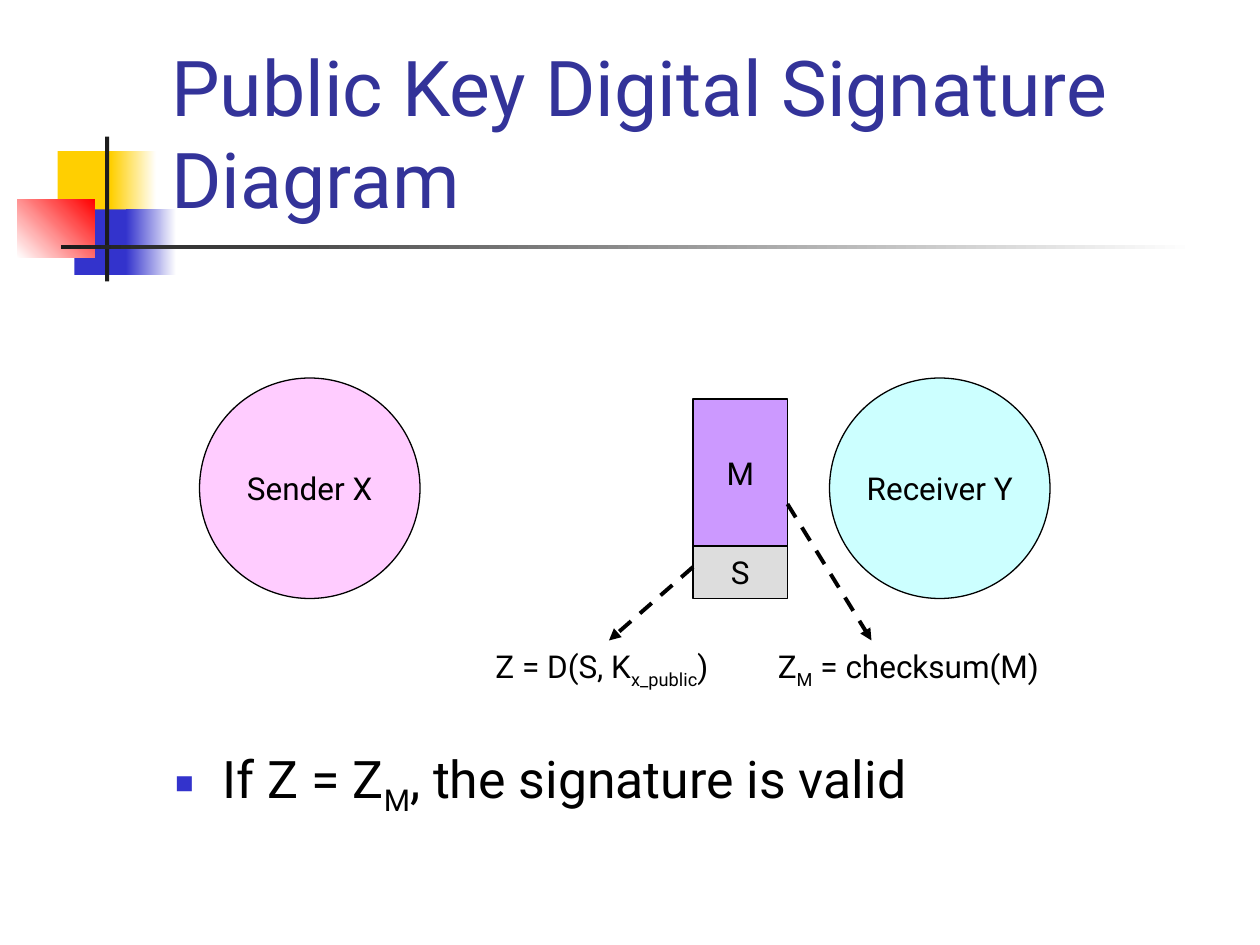
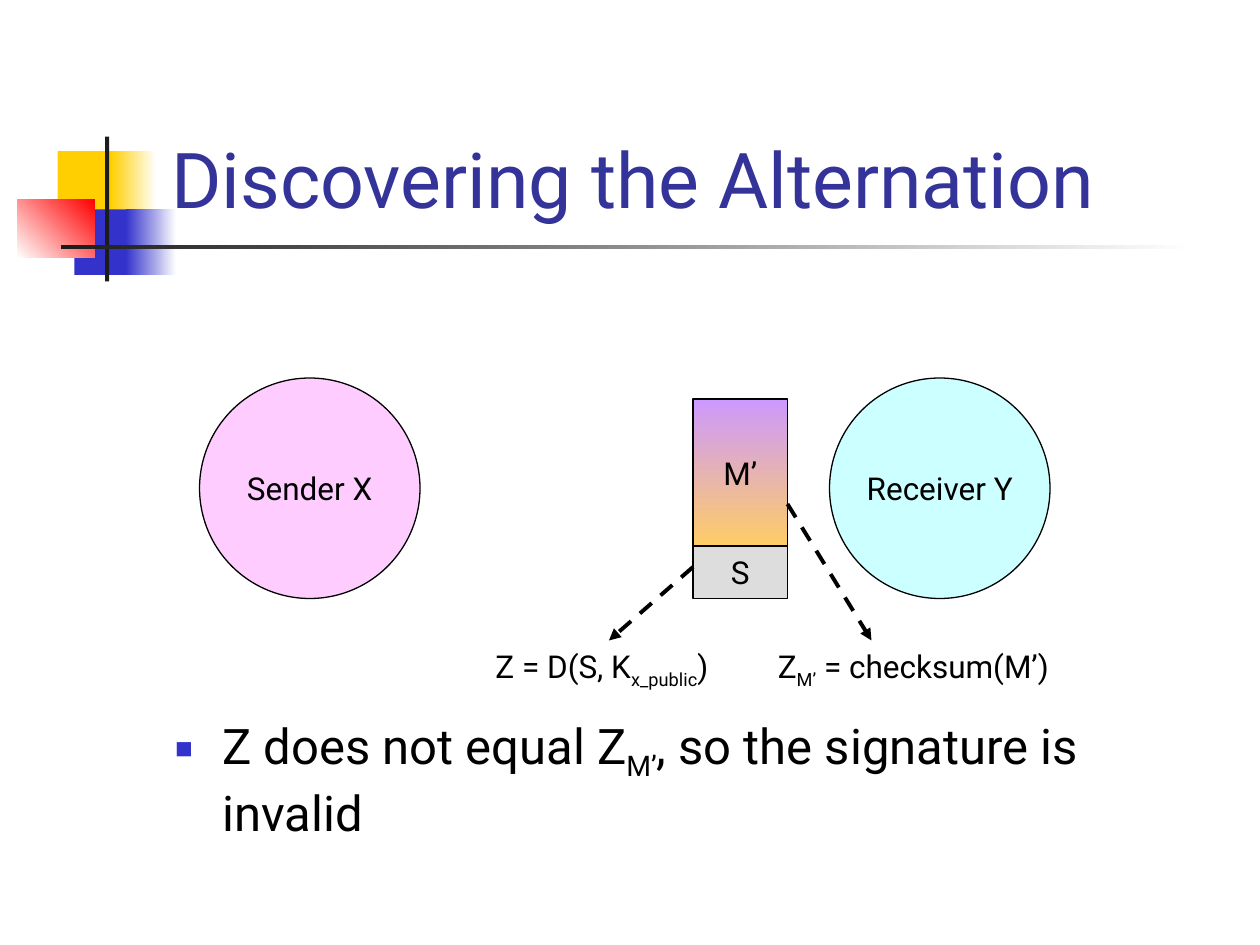
from lxml import etree
from pptx import Presentation
from pptx.dml.color import RGBColor
from pptx.enum.dml import MSO_LINE
from pptx.enum.shapes import MSO_CONNECTOR, MSO_SHAPE
from pptx.enum.text import MSO_ANCHOR, MSO_AUTO_SIZE, PP_ALIGN
from pptx.oxml.ns import qn
from pptx.util import Pt

RECT, OVAL = MSO_SHAPE.RECTANGLE, MSO_SHAPE.OVAL
STRAIGHT, DASH = MSO_CONNECTOR.STRAIGHT, MSO_LINE.DASH
TOP, MIDDLE, BOTTOM = MSO_ANCHOR.TOP, MSO_ANCHOR.MIDDLE, MSO_ANCHOR.BOTTOM
LEFT, CENTER = PP_ALIGN.LEFT, PP_ALIGN.CENTER
NO_AUTOFIT = MSO_AUTO_SIZE.NONE

FONT = "Roboto"
BLACK, WHITE, CHARCOAL = "000000", "FFFFFF", "1C1C1C"
YELLOW, BLUE, RED, NAVY = "FFCF01", "3333CC", "FF0000", "333399"
PINK, AQUA, VIOLET, ORANGE, GREY = "FFCCFF", "CCFFFF", "CC99FF", "FFCC66", "DDDDDD"

# Text between a pair of bars is subscript.
# A fill is one colour, or (start, end, counterclockwise angle).
SLIDES = [
    {
        "title": "Public Key Digital Signature Diagram",
        "message": "M",
        "message_fill": VIOLET,
        "checksum": "Z|M| = checksum(M)",
        "checksum_width": 165.6,
        "verdict": "If Z = Z|M|, the signature is valid",
        "verdict_size": 29.6,
        "verdict_top": 423.3,
    },
    {
        "title": "Discovering the Alternation",
        "message": "M’",
        "message_fill": (VIOLET, ORANGE, 270),
        "checksum": "Z|M’| = checksum(M’)",
        "checksum_width": 170.6,
        "verdict": "Z does not equal Z|M’|, so the signature is invalid",
        "verdict_size": 28,
        "verdict_top": 405,
    },
]
DECRYPTION = "Z = D(S, K|x_public|)"

# left, top, width, height
EMBLEM = [
    ((33, 86.4, 34.6, 37.5), YELLOW),
    ((63.4, 86.4, 25.9, 37.5), (YELLOW, WHITE, 0)),
    ((42.5, 119.6, 33.1, 37.5), BLUE),
    ((72, 119.6, 28.8, 37.5), (BLUE, WHITE, 0)),
    ((9.8, 113.8, 44.3, 33.4), (WHITE, RED, 45)),
    ((60, 78, 2.4, 82.8), CHARCOAL),
    ((34.8, 140, 648, 2.5), (CHARCOAL, WHITE, 0)),
]
TITLE_BOX = (90.7, 16.6, 613.5, 115.2)
BODY_LEFT, BODY_WIDTH, BODY_BOTTOM = 92.9, 612, 483.1
BULLET_INDENT = 27

CIRCLE = 126
CIRCLE_TOP = 216
SENDER_LEFT, RECEIVER_LEFT = 114, 474
PACKET_LEFT, PACKET_WIDTH = 396, 54
MESSAGE_TOP, MESSAGE_HEIGHT, SIGNATURE_HEIGHT = 228, 84, 30
SIGNATURE_TOP = MESSAGE_TOP + MESSAGE_HEIGHT
FORMULA_TOP, FORMULA_HEIGHT = 366, 31.7
ARROWS = [
    (PACKET_LEFT + PACKET_WIDTH, 288, 498, FORMULA_TOP),
    (PACKET_LEFT, 324, 348, FORMULA_TOP),
]


def rgb(hex_colour):
    return RGBColor.from_string(hex_colour)


def points(*lengths):
    return [Pt(length) for length in lengths]


def place(shape, box):
    shape.left, shape.top, shape.width, shape.height = points(*box)


def paint(shape, fill):
    if isinstance(fill, str):
        shape.fill.solid()
        shape.fill.fore_color.rgb = rgb(fill)
        return
    *ends, angle = fill
    shape.fill.gradient()
    shape.fill.gradient_angle = angle
    for stop, colour in zip(shape.fill.gradient_stops, ends):
        stop.color.rgb = rgb(colour)


def add_bullet(paragraph):
    properties = paragraph._p.get_or_add_pPr()
    properties.set("marL", str(Pt(BULLET_INDENT)))
    properties.set("indent", str(-Pt(BULLET_INDENT)))
    colour = etree.SubElement(properties, qn("a:buClr"))
    etree.SubElement(colour, qn("a:srgbClr"), val=BLUE)
    etree.SubElement(properties, qn("a:buSzPct"), val="60000")
    etree.SubElement(properties, qn("a:buFont"), typeface="Arial")
    etree.SubElement(properties, qn("a:buChar"), char="■")


def write(shape, text, size=18, colour=BLACK, align=LEFT, anchor=TOP,
          wrap=False, bullet=False):
    """Fill the shape with one paragraph; text between bars is subscript."""
    frame = shape.text_frame
    frame.auto_size = NO_AUTOFIT
    frame.word_wrap = wrap
    frame.vertical_anchor = anchor
    paragraph = frame.paragraphs[0]
    paragraph.alignment = align
    paragraph.space_before = Pt(0)
    if bullet:
        add_bullet(paragraph)
    for index, part in enumerate(text.split("|")):
        run = paragraph.add_run()
        run.text = part
        run.font.name = FONT
        run.font.size = Pt(size)
        run.font.color.rgb = rgb(colour)
        if index % 2:
            run._r.get_or_add_rPr().set("baseline", "-25000")


def add_block(slide, kind, box, fill, text=None):
    """Add a shape, outlined and labelled if it has text."""
    block = slide.shapes.add_shape(kind, *points(*box))
    block.shadow.inherit = False
    paint(block, fill)
    if text is None:
        block.line.fill.background()
        return
    block.line.color.rgb = rgb(BLACK)
    block.line.width = Pt(0.75)
    write(block, text, align=CENTER, anchor=MIDDLE)


def add_formula(slide, text, left, width):
    box = points(left, FORMULA_TOP, width, FORMULA_HEIGHT)
    write(slide.shapes.add_textbox(*box), text)


def add_arrow(slide, ends):
    arrow = slide.shapes.add_connector(STRAIGHT, *points(*ends))
    arrow.line.color.rgb = rgb(BLACK)
    arrow.line.width = Pt(2.25)
    arrow.line.dash_style = DASH
    etree.SubElement(arrow.line._get_or_add_ln(), qn("a:tailEnd"), type="triangle")
    etree.SubElement(arrow._element.spPr, qn("a:effectLst"))


def add_frame(slide, title):
    """Add the emblem, with the title in front of it."""
    for box, fill in EMBLEM:
        add_block(slide, RECT, box, fill)
    heading = slide.shapes.title
    slide.shapes._spTree.append(heading._element)
    place(heading, TITLE_BOX)
    write(heading, title, size=44, colour=NAVY, anchor=BOTTOM, wrap=True)


def add_diagram(slide, content):
    add_block(slide, OVAL, (SENDER_LEFT, CIRCLE_TOP, CIRCLE, CIRCLE), PINK, "Sender X")
    add_block(slide, OVAL, (RECEIVER_LEFT, CIRCLE_TOP, CIRCLE, CIRCLE), AQUA, "Receiver Y")
    add_block(slide, RECT, (PACKET_LEFT, MESSAGE_TOP, PACKET_WIDTH, MESSAGE_HEIGHT),
              content["message_fill"], content["message"])
    add_block(slide, RECT, (PACKET_LEFT, SIGNATURE_TOP, PACKET_WIDTH, SIGNATURE_HEIGHT),
              GREY, "S")
    add_formula(slide, content["checksum"], 437.4, content["checksum_width"])
    add_formula(slide, DECRYPTION, 276, 138.2)
    for ends in ARROWS:
        add_arrow(slide, ends)


def add_verdict(slide, content):
    verdict = slide.placeholders[1]
    top = content["verdict_top"]
    place(verdict, (BODY_LEFT, top, BODY_WIDTH, BODY_BOTTOM - top))
    write(verdict, content["verdict"], size=content["verdict_size"], wrap=True, bullet=True)


def main():
    deck = Presentation()
    deck.slide_width, deck.slide_height = points(720, 540)
    for content in SLIDES:
        slide = deck.slides.add_slide(deck.slide_layouts[1])
        add_frame(slide, content["title"])
        add_diagram(slide, content)
        add_verdict(slide, content)
    deck.save("out.pptx")


if __name__ == "__main__":
    main()
